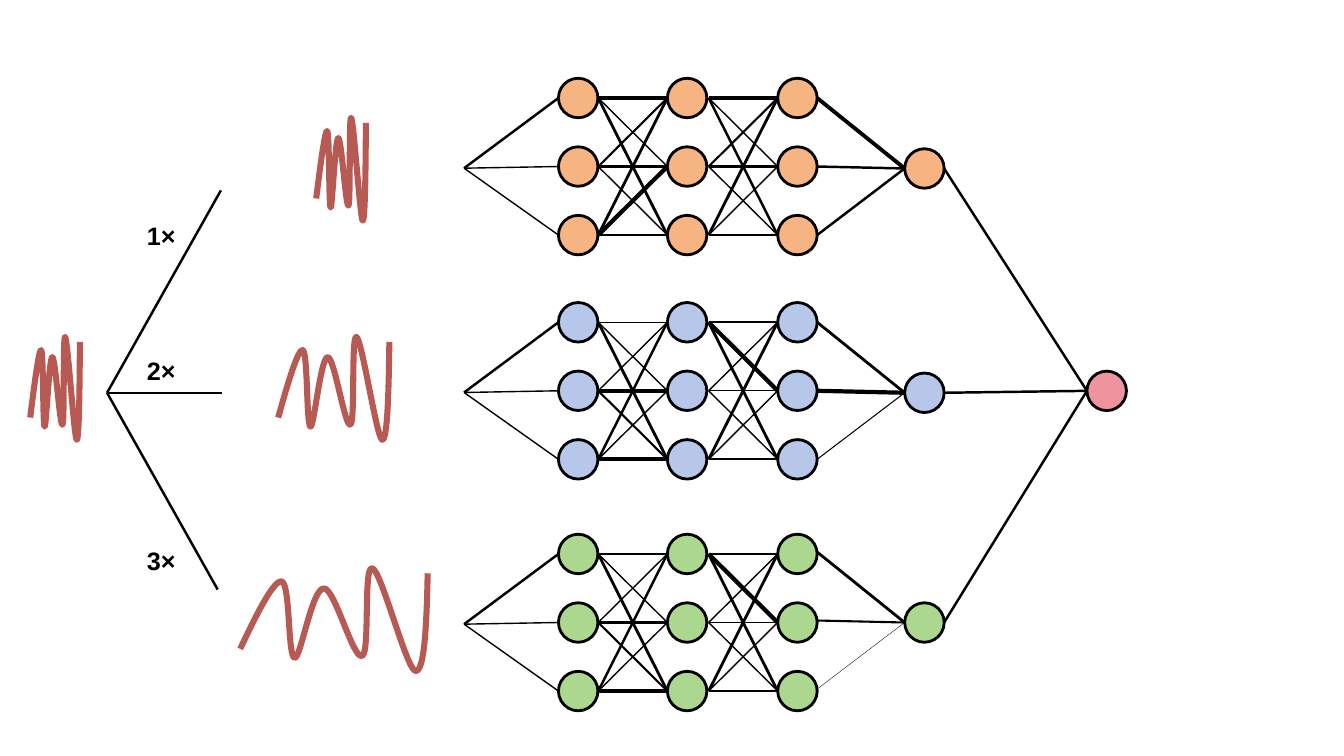
from dataclasses import dataclass

from lxml import etree
from pptx import Presentation
from pptx.dml.color import RGBColor
from pptx.enum.shapes import MSO_CONNECTOR, MSO_SHAPE
from pptx.enum.text import MSO_AUTO_SIZE
from pptx.oxml.ns import qn
from pptx.util import Pt

STRAIGHT = MSO_CONNECTOR.STRAIGHT
OVAL = MSO_SHAPE.OVAL
FIT_TEXT = MSO_AUTO_SIZE.SHAPE_TO_FIT_TEXT


@dataclass(frozen=True)
class Theme:
    """Colours, type and line sizes of the slide."""
    ink: RGBColor = RGBColor.from_string("000000")
    wave: RGBColor = RGBColor.from_string("B75A53")
    orange: RGBColor = RGBColor.from_string("F5B482")
    blue: RGBColor = RGBColor.from_string("B6C7EA")
    green: RGBColor = RGBColor.from_string("ACD78E")
    pink: RGBColor = RGBColor.from_string("EF949E")
    font: str = "Arial"
    label: float = 18
    outline: float = 2
    link: float = 1.75
    wave_line: float = 4.33


@dataclass(frozen=True)
class Box:
    """A region in points."""
    x: float
    y: float
    w: float
    h: float


THEME = Theme()
NODE = 28.2
ROW_GAP = 48.95
COLUMNS = (0, 77.8, 156.6)
FAN_LEAD = 67.4
HUB_X = 247.3
IN_WIDTHS = (1.75, 1, 1)
STRAIGHT_HEAVY = ((3, 1, 1.75), (1.5, 2.5, 1), (2, 1, 1))
CROSS_HEAVY = ((1.5, 1, 2), (1, 1, 1), (2, 3, 1.5))
WAVE_W, WAVE_H = 186, 102
WAVE = (
    (0, 80), (16, 46), (33, 12), (41, 13), (50, 15), (47, 88), (54, 89),
    (60, 90), (71, 20), (83, 20), (94, 20), (112, 91), (121, 87),
    (129, 84), (122, -3), (131, 0), (140, 2), (165, 101), (174, 102),
    (183, 103), (185, 54), (186, 5),
)


def flip(weights):
    """Mirror a weight matrix from top to bottom."""
    return tuple(row[::-1] for row in weights[::-1])


def heavier(first, second):
    """Keep the larger weight of each link in two matrices."""
    return tuple(tuple(map(max, a, b)) for a, b in zip(first, second))


def add_line(shapes, start, end, width):
    """Draw one plain line."""
    c = shapes.add_connector(STRAIGHT, *map(Pt, (*start, *end)))
    c.line.color.rgb = THEME.ink
    c.line.width = Pt(width)
    etree.SubElement(c._element.spPr, qn("a:effectLst"))


def add_node(s, x, cy, color):
    """Draw a neuron from its left edge and centre height."""
    sp = s.shapes.add_shape(OVAL, Pt(x), Pt(cy - NODE / 2), Pt(NODE), Pt(NODE))
    sp.shadow.inherit = False
    sp.fill.solid()
    sp.fill.fore_color.rgb = color
    sp.line.color.rgb = THEME.ink
    sp.line.width = Pt(THEME.outline)


def add_mesh(s, x1, x2, rows, weights):
    """Group the links between two full layers."""
    group = s.shapes.add_group_shape()
    for y1, row in zip(rows, weights):
        for y2, width in zip(rows, row):
            add_line(group.shapes, (x1, y1), (x2, y2), width)


def add_network(s, box, color, first, second, out_widths, hub_drop):
    """Draw one network and return the right end of its hub."""
    rows = [box.y + NODE / 2 + i * ROW_GAP for i in range(3)]
    cols = [box.x + FAN_LEAD + x for x in COLUMNS]
    source = (box.x, rows[1] + 1.2)
    hub = (box.x + FAN_LEAD + HUB_X, rows[1] + hub_drop)
    for y, width in zip(rows, IN_WIDTHS):
        add_line(s.shapes, (cols[0], y), source, width)
    add_mesh(s, cols[0] + NODE + 0.2, cols[1], rows, first)
    add_mesh(s, cols[1] + NODE + 1.3, cols[2], rows, second)
    for y, width in zip(rows, out_widths):
        add_line(s.shapes, hub, (cols[2] + NODE, y + hub_drop - 1.4), width)
    for x in cols:
        for y in rows:
            add_node(s, x, y, color)
    add_node(s, *hub, color)
    return hub[0] + NODE, hub[1]


def add_wave(s, box):
    """Draw the signal stretched to a box."""
    scale = (Pt(box.w) / WAVE_W, Pt(box.h) / WAVE_H)
    fb = s.shapes.build_freeform(*WAVE[0], scale=scale)
    fb.add_line_segments(WAVE[1:], close=False)
    sp = fb.convert_to_shape(Pt(box.x), Pt(box.y))
    sp.shadow.inherit = False
    sp.fill.background()
    sp.line.color.rgb = THEME.wave
    sp.line.width = Pt(THEME.wave_line)
    outline = next(sp._element.iter(qn("a:moveTo"))).getparent()
    steps = outline.findall(qn("a:lnTo"))
    for i in range(0, len(steps), 3):
        curve = etree.SubElement(outline, qn("a:cubicBezTo"))
        for step in steps[i:i + 3]:
            curve.append(step[0])
            outline.remove(step)


def add_label(s, box, text):
    """Write one scale factor."""
    sp = s.shapes.add_textbox(*map(Pt, (box.x, box.y, box.w, box.h)))
    tf = sp.text_frame
    tf.word_wrap = True
    tf.auto_size = FIT_TEXT
    r = tf.paragraphs[0].add_run()
    r.text = text
    r.font.color.rgb = THEME.ink
    for name, value in {"name": THEME.font, "size": Pt(THEME.label), "bold": True}.items():
        setattr(r.font, name, value)


def add_branches(s, box):
    """Split the signal into three labelled scales."""
    root = (box.x, box.y + 144.6)
    branches = (("1×", 81.3, 0, 17.7), ("2×", 82, 144.6, 114.5), ("3×", 79, box.h, 249.8))
    for text, x, y, label_y in branches:
        add_line(s.shapes, (box.x + x, box.y + y), root, THEME.link)
        add_label(s, Box(box.x + 21.3, box.y + label_y, 40.3, 28.8), text)


def add_result(s, box, hubs):
    """Join the hubs in the final node."""
    cy = box.y + box.h / 2
    for hub in hubs:
        add_line(s.shapes, hub, (box.x, cy), THEME.link)
    add_node(s, box.x, cy, THEME.pink)


def main():
    """Build and save the slide."""
    prs = Presentation()
    prs.slide_width, prs.slide_height = Pt(960), Pt(540)
    s = prs.slides.add_slide(prs.slide_layouts[6])
    both = heavier(STRAIGHT_HEAVY, CROSS_HEAVY)
    heavy, cross = flip(STRAIGHT_HEAVY), flip(CROSS_HEAVY)
    networks = (
        (55.9, THEME.orange, both, STRAIGHT_HEAVY, (2.75, 1.75, 1.75), 1.4),
        (216.1, THEME.blue, heavy, cross, (2, 3, 0.75), 1.4),
        (381.6, THEME.green, heavy, cross, (2, 1.5, 0.25), 0),
    )
    hubs = [add_network(s, Box(331.5, y, 342.9, 126.1), *style) for y, *style in networks]
    for x, y, w in ((21.6, 240.7, 35.5), (225.9, 84.2, 35.5), (198.7, 240.7, 79.4), (171.6, 405.9, 133.9)):
        add_wave(s, Box(x, y, w, 73.4))
    add_branches(s, Box(76.5, 136, 82, 285.1))
    add_result(s, Box(776.4, 265.1, NODE, NODE), hubs)
    prs.save("out.pptx")


if __name__ == "__main__":
    main()
